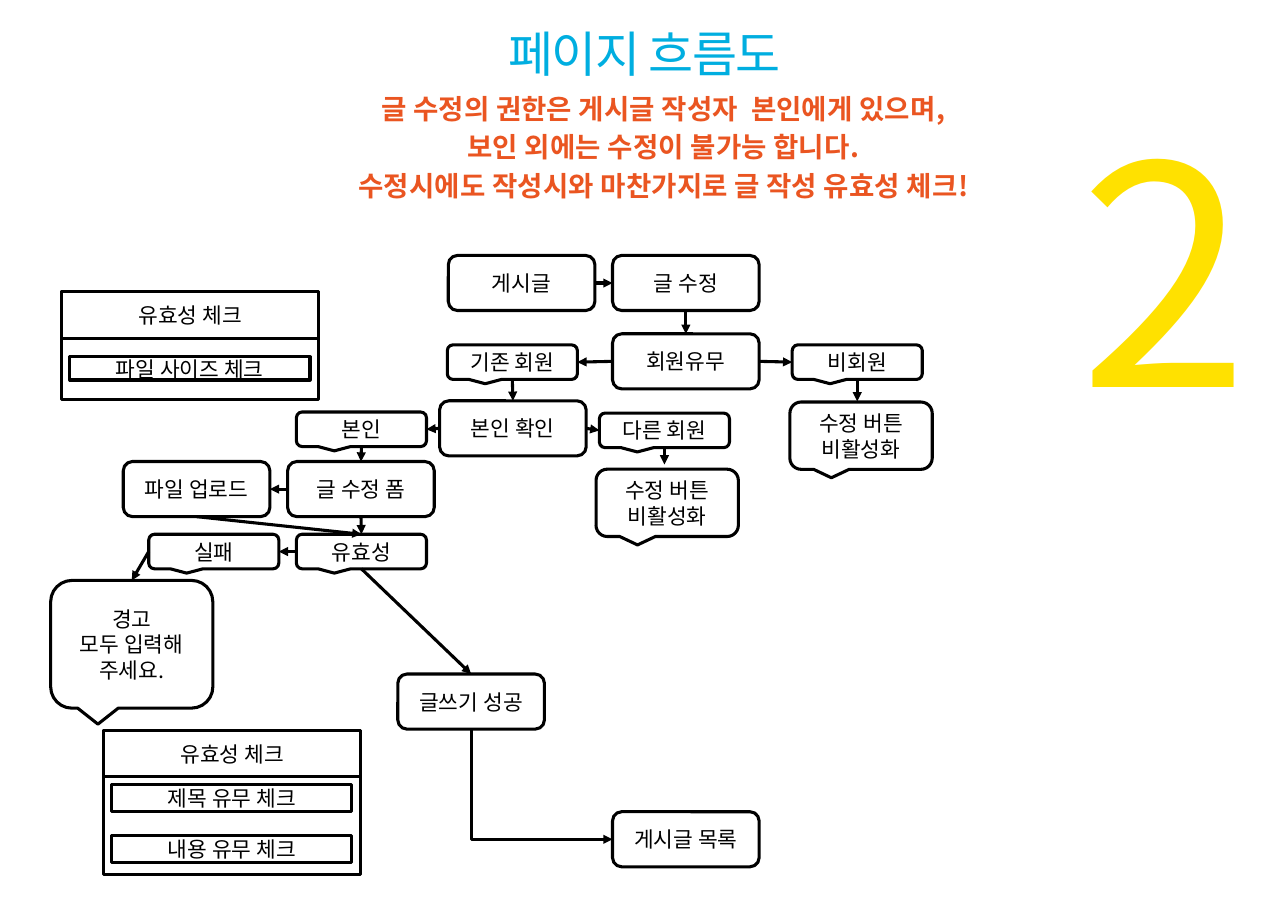
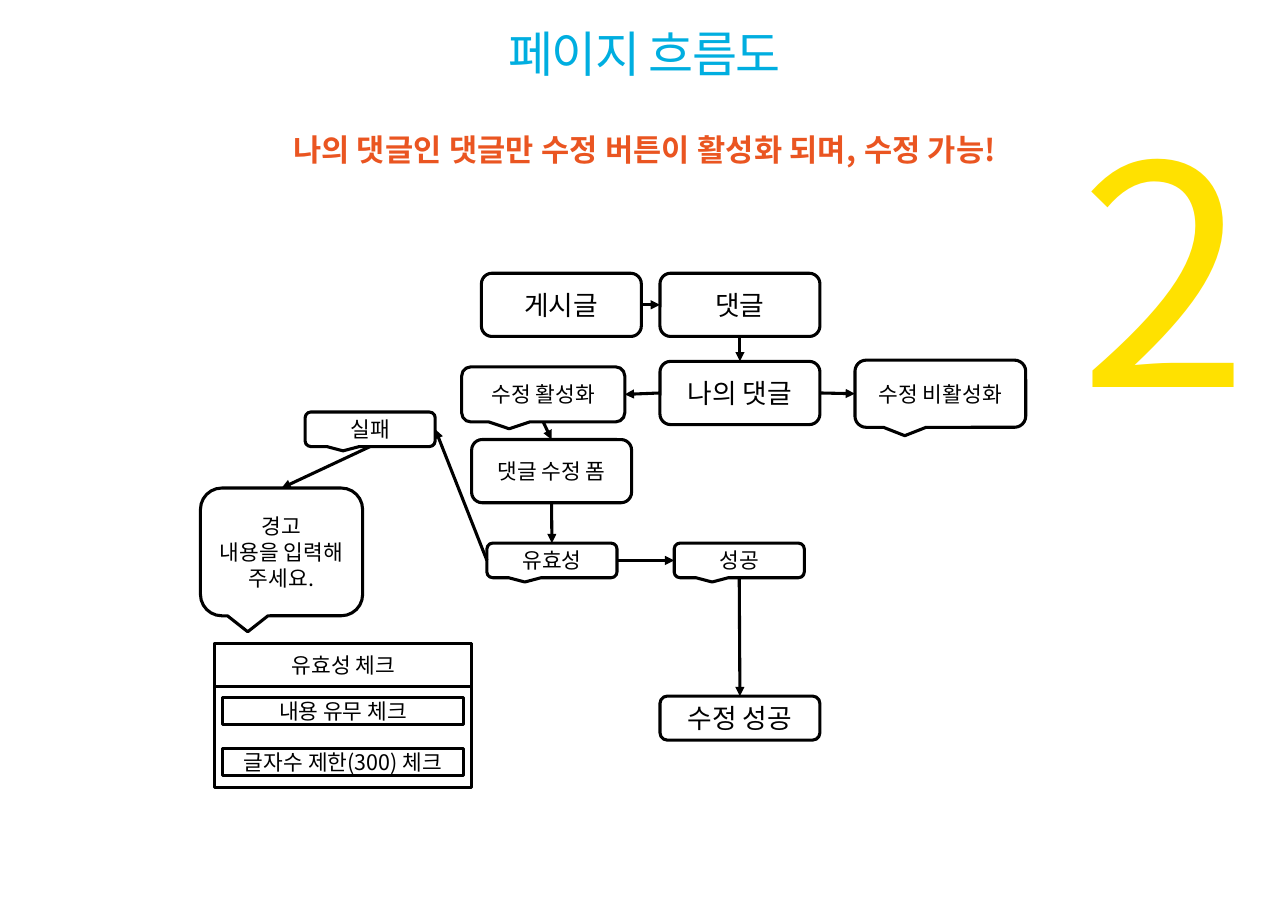
"""Builds two page-flow slides: editing a post and editing a comment."""
from lxml.etree import SubElement
from pptx import Presentation
from pptx.dml.color import RGBColor
from pptx.enum.shapes import MSO_CONNECTOR, MSO_SHAPE
from pptx.enum.text import MSO_ANCHOR, PP_ALIGN
from pptx.oxml.ns import qn
from pptx.util import Pt

FONT = "Noto Sans CJK KR"
BLACK = RGBColor(0x00, 0x00, 0x00)
WHITE = RGBColor(0xFF, 0xFF, 0xFF)
BLUE = RGBColor(0x00, 0xAE, 0xE0)
ORANGE = RGBColor(0xEA, 0x55, 0x21)
YELLOW = RGBColor(0xFF, 0xE1, 0x00)

TOP, LEFT, BOTTOM, RIGHT = range(4)
STEP = (95.8, 36)
BIG_STEP = (104.5, 41.3)
TAG = (85, 22.6)
BLOCKED = (93, 44)
WARNING = (106, 83.5)
PANEL_WIDTH = 168
ITEM_WIDTH = 157
ITEM_INSET = 5.3
ITEM_PITCH = 33.2


def style_text(frame, size, color, align, bold=False, tracking=0):
    for paragraph in frame.paragraphs:
        paragraph.alignment = align
        for run in paragraph.runs:
            font = run.font
            font.name = FONT
            font.size = Pt(size)
            font.bold = bold
            font.color.rgb = color
            properties = run._r.get_or_add_rPr()
            SubElement(properties, qn("a:ea")).set("typeface", FONT)
            if tracking:
                properties.set("spc", str(round(tracking * 100)))


def caption(slide, text, at, size, color, align=PP_ALIGN.CENTER,
            bold=False, tracking=-1, leading=None):
    frame = slide.shapes.add_textbox(*map(Pt, at)).text_frame
    frame.word_wrap = True
    frame.margin_left = frame.margin_right = 0
    frame.margin_top = frame.margin_bottom = 0
    frame.text = text
    style_text(frame, size, color, align, bold, tracking)
    for index, paragraph in enumerate(frame.paragraphs):
        if leading:
            paragraph.line_spacing = Pt(leading)
        if index:
            paragraph.space_before = Pt(size * 0.2)


def flow_slide(deck, notice, notice_at, notice_size, notice_leading=None):
    slide = deck.slides.add_slide(deck.slide_layouts[6])
    caption(slide, notice, notice_at, notice_size, ORANGE, bold=True,
            tracking=0.1, leading=notice_leading)
    caption(slide, "페이지 흐름도", (159.1, 23.8, 524.2, 59), 32, BLUE, leading=30)
    caption(slide, "2", (705.6, 93.6, 105.1, 198.7), 200, YELLOW,
            align=PP_ALIGN.LEFT, leading=200)
    return slide


def box(slide, text, left, top, extent, size=14,
        outline=MSO_SHAPE.ROUNDED_RECTANGLE):
    shape = slide.shapes.add_shape(outline, *map(Pt, (left, top, *extent)))
    shape.shadow.inherit = False
    shape.fill.solid()
    shape.fill.fore_color.rgb = WHITE
    shape.line.color.rgb = BLACK
    shape.line.width = Pt(2)
    frame = shape.text_frame
    frame.vertical_anchor = MSO_ANCHOR.MIDDLE
    if text:
        frame.text = text
        style_text(frame, size, BLACK, PP_ALIGN.CENTER)
    return shape


def callout(slide, text, left, top, extent=TAG):
    return box(slide, text, left, top, extent,
               outline=MSO_SHAPE.ROUNDED_RECTANGULAR_CALLOUT)


def checklist(slide, left, top, height, header_height, items, first_item, item_height):
    def cell(text, x, y, extent):
        box(slide, text, x, y, extent, outline=MSO_SHAPE.RECTANGLE)

    cell("", left, top, (PANEL_WIDTH, height))
    cell("유효성 체크", left, top, (PANEL_WIDTH, header_height))
    for index, item in enumerate(items):
        cell(item, left + ITEM_INSET, top + first_item + index * ITEM_PITCH,
             (ITEM_WIDTH, item_height))


def new_arrow(slide, kind=MSO_CONNECTOR.STRAIGHT):
    connector = slide.shapes.add_connector(kind, 0, 0, 0, 0)
    connector.line.color.rgb = BLACK
    connector.line.width = Pt(2)
    SubElement(connector.line._get_or_add_ln(), qn("a:tailEnd")).set("type", "triangle")
    SubElement(connector._element.spPr, qn("a:effectLst"))
    return connector


def arrow(slide, source, source_side, target, target_side):
    connector = new_arrow(slide)
    connector.begin_connect(source, source_side)
    connector.end_connect(target, target_side)


def drop_arrow(slide, source, length):
    connector = new_arrow(slide)
    connector.begin_connect(source, BOTTOM)
    connector.end_x = connector.begin_x
    connector.end_y = connector.begin_y + Pt(length)


def down_then_right(slide, source, target):
    connector = new_arrow(slide, MSO_CONNECTOR.ELBOW)
    connector.begin_connect(source, BOTTOM)
    connector.end_connect(target, LEFT)
    across, down = connector.width, connector.height
    connector.left += (across - down) // 2
    connector.top += (down - across) // 2
    connector.width, connector.height = down, across
    properties = connector._element.spPr
    properties.find(qn("a:prstGeom")).set("prst", "bentConnector2")
    transform = properties.find(qn("a:xfrm"))
    transform.set("rot", "16200000")
    transform.set("flipH", "1")


def post_edit_slide(deck):
    notice = ("글 수정의 권한은 게시글 작성자  본인에게 있으며,\n"
              "보인 외에는 수정이 불가능 합니다.\n"
              "수정시에도 작성시와 마찬가지로 글 작성 유효성 체크!")
    slide = flow_slide(deck, notice, (171.4, 59.8, 524.2, 56.9), 18)

    post = box(slide, "게시글", 293, 167, STEP)
    edit = box(slide, "글 수정", 400.3, 167, STEP)
    membership = box(slide, "회원유무", 400.3, 218.2, STEP)
    member = callout(slide, "기존 회원", 292.3, 225.4)
    guest = callout(slide, "비회원", 517.7, 225.4)
    identity = box(slide, "본인 확인", 287.3, 262, STEP)
    author = callout(slide, "본인", 193.7, 269.3)
    other_member = callout(slide, "다른 회원", 391.7, 270)
    form = box(slide, "글 수정 폼", 188, 301.7, STEP)
    upload = box(slide, "파일 업로드", 80.6, 301.7, STEP)
    validity = callout(slide, "유효성", 193.7, 349.2)
    failure = callout(slide, "실패", 97.2, 349.2)
    warning = callout(slide, "경고\n모두 입력해 주세요.", 33.1, 379.4, WARNING)
    success = box(slide, "글쓰기 성공", 260, 440.6, STEP)
    post_list = box(slide, "게시글 목록", 400.3, 530.6, STEP)
    for left, top in ((516.2, 262.8), (389.5, 306.7)):
        callout(slide, "수정 버튼 비활성화", left, top, BLOCKED)

    checklist(slide, 40.3, 190.8, 70.6, 30.2, ["파일 사이즈 체크"], 42.5, 15.1)
    checklist(slide, 67.7, 477.4, 94.3, 30.2,
              ["제목 유무 체크", "내용 유무 체크"], 35.3, 18)

    for link in (
        (post, RIGHT, edit, LEFT),
        (edit, BOTTOM, membership, TOP),
        (membership, LEFT, member, RIGHT),
        (membership, RIGHT, guest, LEFT),
        (member, BOTTOM, identity, TOP),
        (identity, LEFT, author, RIGHT),
        (identity, RIGHT, other_member, LEFT),
        (author, BOTTOM, form, TOP),
        (form, LEFT, upload, RIGHT),
        (form, BOTTOM, validity, TOP),
        (upload, BOTTOM, validity, TOP),
        (validity, LEFT, failure, RIGHT),
        (failure, LEFT, warning, TOP),
        (validity, BOTTOM, success, TOP),
    ):
        arrow(slide, *link)
    drop_arrow(slide, guest, 14.4)
    drop_arrow(slide, other_member, 11)
    down_then_right(slide, success, post_list)


def comment_edit_slide(deck):
    notice = "나의 댓글인 댓글만 수정 버튼이 활성화 되며, 수정 가능!"
    slide = flow_slide(deck, notice, (159.1, 95.8, 524.2, 56.9), 20, 14)

    post = box(slide, "게시글", 314.6, 178.6, BIG_STEP, 17.5)
    comment = box(slide, "댓글", 431.3, 178.6, BIG_STEP, 17.5)
    own_comment = box(slide, "나의 댓글", 431.3, 236.2, BIG_STEP, 17.5)
    enabled = callout(slide, "수정 활성화", 301.7, 239.8, (106.6, 36))
    disabled = callout(slide, "수정 비활성화", 558.7, 235.4, (111.6, 43.9))
    form = box(slide, "댓글 수정 폼", 308.2, 287.3, BIG_STEP)
    validity = callout(slide, "유효성", 318.2, 355)
    failure = callout(slide, "실패", 199.4, 269.3)
    passed = callout(slide, "성공", 440.6, 355)
    warning = callout(slide, "경고\n내용을 입력해 주세요.", 131, 319, WARNING)
    edited = box(slide, "수정 성공", 431.3, 455, (104.5, 28.8), 17.5)

    checklist(slide, 140.4, 420.5, 94.3, 28,
              ["내용 유무 체크", "글자수 제한(300) 체크"], 35.3, 18)

    for link in (
        (post, RIGHT, comment, LEFT),
        (comment, BOTTOM, own_comment, TOP),
        (own_comment, LEFT, enabled, RIGHT),
        (own_comment, RIGHT, disabled, LEFT),
        (enabled, BOTTOM, form, TOP),
        (form, BOTTOM, validity, TOP),
        (validity, LEFT, failure, RIGHT),
        (failure, BOTTOM, warning, TOP),
        (validity, RIGHT, passed, LEFT),
        (passed, BOTTOM, edited, TOP),
    ):
        arrow(slide, *link)


def main():
    deck = Presentation()
    deck.slide_width = Pt(841.68)
    deck.slide_height = Pt(595.44)
    post_edit_slide(deck)
    comment_edit_slide(deck)
    deck.save("out.pptx")


if __name__ == "__main__":
    main()
